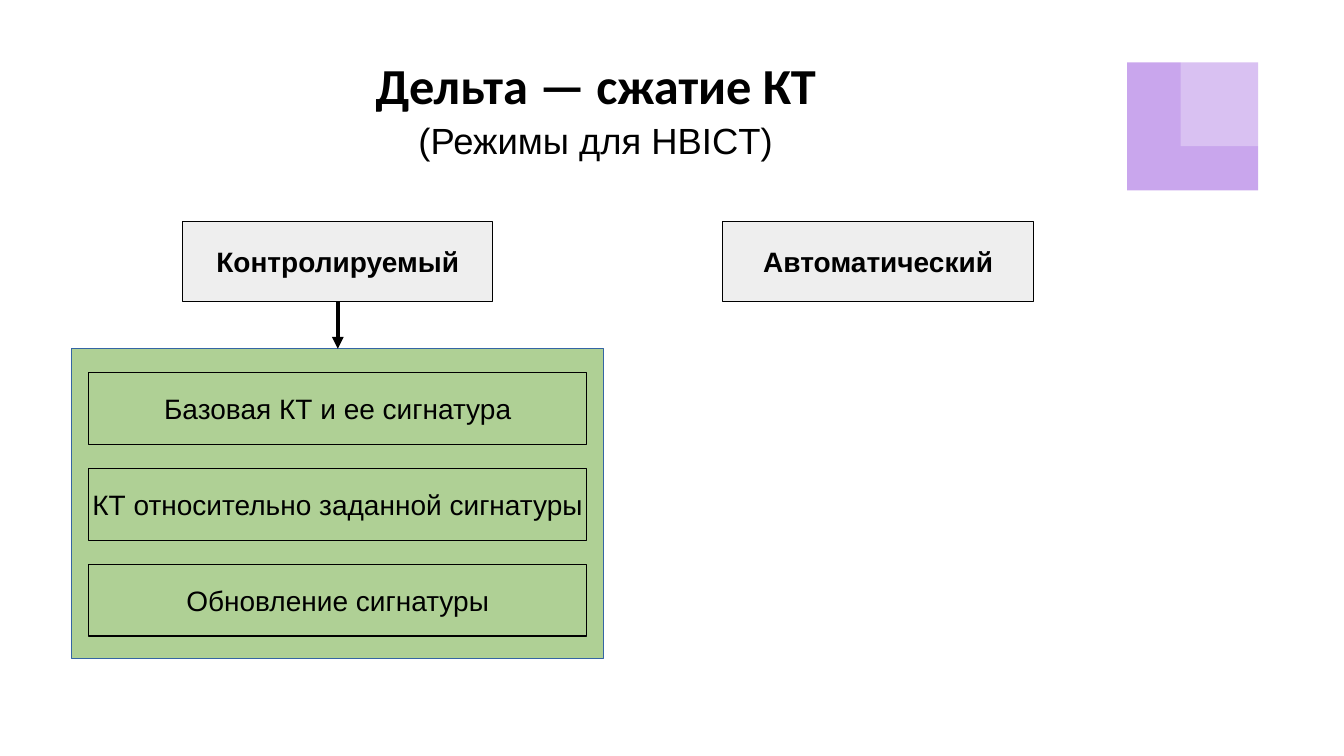
from dataclasses import dataclass

from lxml import etree
from pptx import Presentation
from pptx.dml.color import RGBColor
from pptx.enum.shapes import MSO_CONNECTOR as Connector, MSO_SHAPE as Shape
from pptx.enum.text import MSO_ANCHOR as Anchor, MSO_AUTO_SIZE as AutoSize, PP_ALIGN as Align
from pptx.oxml.ns import qn
from pptx.util import Inches, Pt


@dataclass(frozen=True)
class Theme:
    ink: str = "000000"
    white: str = "FFFFFF"
    accent: str = "6600CC"
    mode_fill: str = "EEEEEE"
    panel_fill: str = "AFD095"
    panel_line: str = "3465A4"
    heading_font: str = "Calibri"
    body_font: str = "Arial"
    heading_size: float = 36
    subheading_size: float = 26
    body_size: float = 20
    hairline: float = 0
    arrow_width: float = 2.83


class SlideBuilder:
    def __init__(self, slide, theme):
        self.slide = slide
        self.theme = theme

    def set_font(self, paragraph, name, size, bold=False):
        font = paragraph.font
        font.name, font.size, font.bold = name, Pt(size), bold
        font.color.rgb = RGBColor.from_string(self.theme.ink)
        paragraph.alignment = Align.CENTER

    def title(self, heading, subheading, left, top, width, height):
        theme = self.theme
        title = self.slide.shapes.title
        title.left, title.top = Inches(left), Inches(top)
        title.width, title.height = Inches(width), Inches(height)
        frame = title.text_frame
        frame.auto_size = AutoSize.NONE
        frame.vertical_anchor = Anchor.TOP
        frame.text = f"{heading}\n{subheading}"
        first, second = frame.paragraphs
        self.set_font(first, theme.heading_font, theme.heading_size, True)
        self.set_font(second, theme.body_font, theme.subheading_size)
        second.space_before = Pt(2)

    def box(self, left, top, width, height, fill=None, line=None, opacity=None):
        box = self.slide.shapes.add_shape(
            Shape.RECTANGLE, Inches(left), Inches(top), Inches(width), Inches(height))
        box.shadow.inherit = False
        if fill:
            box.fill.solid()
            box.fill.fore_color.rgb = RGBColor.from_string(fill)
        else:
            box.fill.background()
        if opacity:
            color = box.fill._xPr.find(qn("a:solidFill"))[0]
            etree.SubElement(color, qn("a:alpha"), val=str(opacity * 1000))
        if line:
            box.line.color.rgb = RGBColor.from_string(line)
            box.line.width = Pt(self.theme.hairline)
        else:
            box.line.fill.background()
        return box

    def label(self, box, text, bold=False):
        frame = box.text_frame
        frame.word_wrap = False
        frame.vertical_anchor = Anchor.MIDDLE
        frame.text = text
        self.set_font(frame.paragraphs[0], self.theme.body_font, self.theme.body_size, bold)

    def mode(self, text, left, top):
        mode = self.box(left, top, 3.08, 0.79, self.theme.mode_fill, self.theme.ink)
        self.label(mode, text, True)
        return mode

    def step(self, text, left, top):
        self.label(self.box(left, top, 4.94, 0.71, line=self.theme.ink), text)

    def arrow_down(self, upper, lower):
        arrow = self.slide.shapes.add_connector(Connector.STRAIGHT, 0, 0, 0, 0)
        arrow.begin_connect(upper, 2)
        arrow.end_connect(lower, 0)
        arrow.line.color.rgb = RGBColor.from_string(self.theme.ink)
        arrow.line.width = Pt(self.theme.arrow_width)
        etree.SubElement(arrow.line._get_or_add_ln(), qn("a:tailEnd"), type="triangle")
        etree.SubElement(arrow._element.spPr, qn("a:effectLst"))


def main():
    deck = Presentation()
    deck.slide_width, deck.slide_height = Inches(13.33), Inches(7.5)
    theme = Theme()
    builder = SlideBuilder(deck.slides.add_slide(deck.slide_layouts[5]), theme)

    builder.box(11.18, 0.62, 1.3, 1.27, theme.accent, opacity=35)
    builder.box(11.71, 0.36, 1.09, 1.09, theme.white, opacity=31)
    builder.title("Дельта — сжатие КТ", "(Режимы для HBICT)", 0.25, 0.49, 11.32, 1.2)

    builder.mode("Автоматический", 7.17, 2.2)
    controlled = builder.mode("Контролируемый", 1.81, 2.2)
    panel = builder.box(0.71, 3.46, 5.28, 3.07, theme.panel_fill, theme.panel_line)
    steps = ("Базовая КТ и ее сигнатура",
             "КТ относительно заданной сигнатуры",
             "Обновление сигнатуры")
    for row, step in enumerate(steps):
        builder.step(step, 0.88, 3.7 + 0.95 * row)
    builder.arrow_down(controlled, panel)

    deck.save("out.pptx")


if __name__ == "__main__":
    main()
